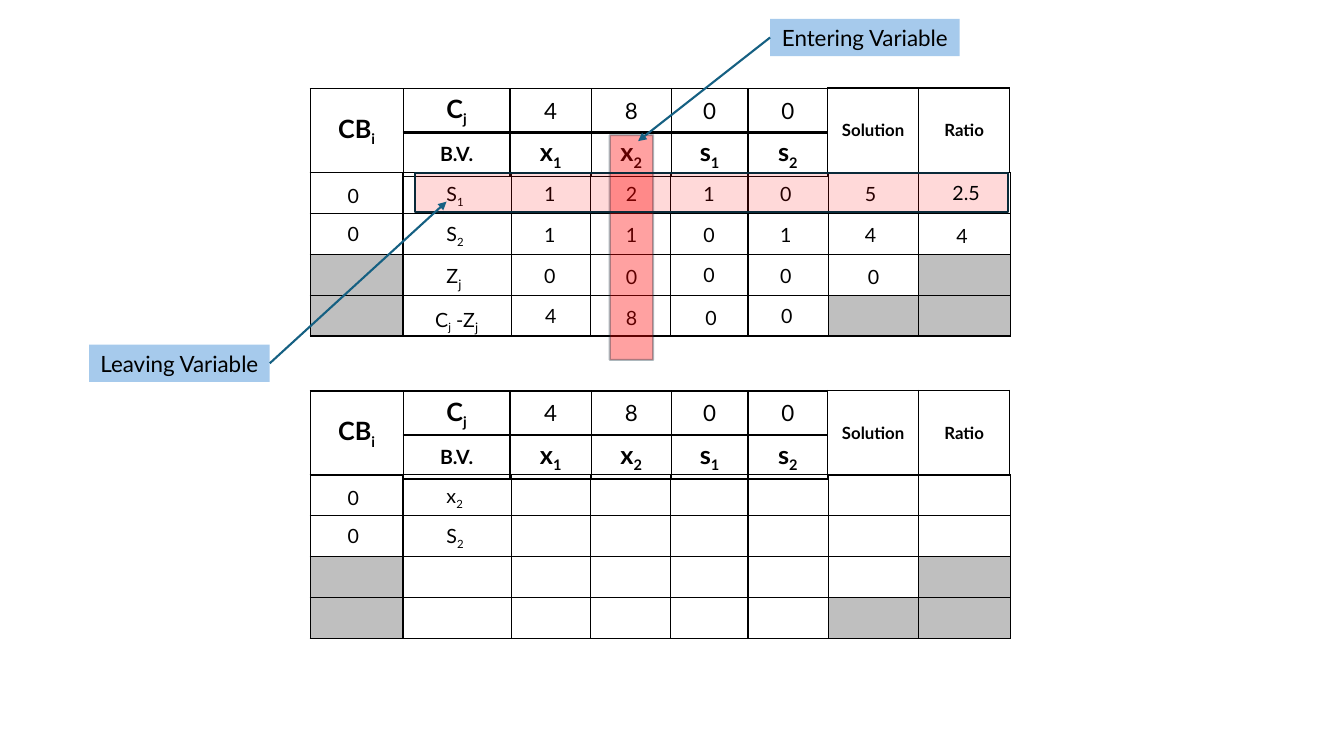
from dataclasses import dataclass
from itertools import product

from lxml.etree import SubElement
from pptx import Presentation
from pptx.dml.color import RGBColor as RGB
from pptx.enum.shapes import MSO_CONNECTOR as CONN, MSO_SHAPE as SHAPE
from pptx.enum.text import MSO_ANCHOR as ANCHOR, MSO_AUTO_SIZE as AUTO, PP_ALIGN as ALIGN
from pptx.oxml.ns import qn
from pptx.util import Pt


@dataclass(frozen=True)
class Theme:
    font: str = "Lato"
    ink: str = "000000"
    grey: str = "BFBFBF"
    callout: str = "A6CAEC"
    highlight: str = "FF0000"
    outline: str = "092A39"
    arrow: str = "156082"
    heading: int = 18
    coefficient: int = 16
    body: int = 14
    small: int = 12
    line: float = 1.5


def write(p, text, theme, *, size, bold=False, align=ALIGN.LEFT, last_sub=None):
    """Write text in which an underscore lowers the next character."""
    p.alignment = align
    pieces = text.split("_")
    parts = [(pieces[0], False, size)]
    for i, piece in enumerate(pieces[1:], 1):
        last = i == len(pieces) - 1
        parts += [(piece[0], True, last_sub if last and last_sub else size),
                  (piece[1:], False, size)]
    for part, lowered, part_size in parts:
        if not part:
            continue
        r = p.add_run()
        r.text = part
        r.font.name, r.font.size, r.font.bold = theme.font, Pt(part_size), bold
        r.font.color.rgb = RGB.from_string(theme.ink)
        if lowered:
            r._r.get_or_add_rPr().set("baseline", "-25000")


def set_alpha(color_parent, percent):
    """Make the solid colour inside an element partly transparent."""
    color = color_parent.find(".//" + qn("a:srgbClr"))
    SubElement(color, qn("a:alpha")).set("val", str(percent * 1000))


class Canvas:
    def __init__(self, slide, theme):
        self.slide, self.theme = slide, theme

    def table(self, x, y, widths, height, rows=1):
        frame = self.slide.shapes.add_table(
            rows, len(widths), Pt(x), Pt(y), Pt(sum(widths)), Pt(height * rows))
        table = frame.table
        table.first_row = table.horz_banding = False
        for column, width in zip(table.columns, widths):
            column.width = Pt(width)
        for row in table.rows:
            row.height = Pt(height)
        for cell in table.iter_cells():
            cell.vertical_anchor = ANCHOR.MIDDLE
            self.borders(cell)
            cell.fill.background()
        return table

    def borders(self, cell):
        tcPr = cell._tc.get_or_add_tcPr()
        for side in ("lnL", "lnR", "lnT", "lnB"):
            ln = SubElement(tcPr, qn("a:" + side), w=str(Pt(1)))
            fill = SubElement(ln, qn("a:solidFill"))
            SubElement(fill, qn("a:srgbClr"), val=self.theme.ink)

    def header(self, x, y, widths, height, texts, sizes, bolds):
        table = self.table(x, y, widths, height)
        for cell, text, size, bold in zip(table.iter_cells(), texts, sizes, bolds):
            write(cell.text_frame.paragraphs[0], text, self.theme,
                  size=size, bold=bold, align=ALIGN.CENTER)

    def label(self, x, y, text, width=35, **fmt):
        s = self.slide.shapes.add_textbox(Pt(x), Pt(y), Pt(width), Pt(24.2))
        tf = s.text_frame
        tf.word_wrap, tf.auto_size = True, AUTO.SHAPE_TO_FIT_TEXT
        write(tf.paragraphs[0], text, self.theme, size=self.theme.body, **fmt)

    def box(self, x, y, width, height, color):
        s = self.slide.shapes.add_shape(
            SHAPE.RECTANGLE, Pt(x), Pt(y), Pt(width), Pt(height))
        s.shadow.inherit = False
        s.fill.solid()
        s.fill.fore_color.rgb = RGB.from_string(color)
        return s

    def highlight(self, x, y, width, height, fill_alpha, line_alpha=100):
        s = self.box(x, y, width, height, self.theme.highlight)
        set_alpha(s._element.spPr.find(qn("a:solidFill")), fill_alpha)
        s.line.color.rgb = RGB.from_string(self.theme.outline)
        s.line.width = Pt(self.theme.line)
        set_alpha(s._element.spPr.find(qn("a:ln")), line_alpha)

    def callout(self, x, y, width, text):
        s = self.box(x, y, width, 26.6, self.theme.callout)
        s.line.fill.background()
        tf = s.text_frame
        tf.word_wrap, tf.vertical_anchor = False, ANCHOR.MIDDLE
        write(tf.paragraphs[0], text, self.theme,
              size=self.theme.coefficient, align=ALIGN.CENTER)
        return s

    def arrow(self, start, side, x, y):
        s = self.slide.shapes.add_connector(CONN.STRAIGHT, 0, 0, Pt(x), Pt(y))
        s.begin_connect(start, side)
        s.line.color.rgb = RGB.from_string(self.theme.arrow)
        s.line.width = Pt(self.theme.line)
        SubElement(s.line._get_or_add_ln(), qn("a:tailEnd"), type="triangle")
        SubElement(s._element.spPr, qn("a:effectLst"))

    def tableau(self, top, values, nudges):
        """Draw one simplex tableau: headers, empty grid and its values."""
        t = self.theme
        self.header(288, top + 31, VARIABLE_WIDTHS, 29.5,
                    ("B.V.", "x_1", "x_2", "s_1", "s_2"),
                    [t.body] + [t.heading] * 4, [True] * 5)
        self.header(288, top, VARIABLE_WIDTHS, 29.5, ("C_j", "4", "8", "0", "0"),
                    [t.heading] + [t.coefficient] * 4, [True] + [False] * 4)
        self.header(221.5, top, [66.5], 60, ["CB_i"], [t.heading], [True])
        self.header(591.2, top - 0.4, [65, 65], 60.4, ("Solution", "Ratio"),
                    [t.small] * 2, [True] * 2)
        grid = self.table(221.5, top + 59.9, GRID_WIDTHS, 29.2, rows=4)
        for row, col in GREY_CELLS:
            cell = grid.cell(row, col)
            cell.fill.solid()
            cell.fill.fore_color.rgb = RGB.from_string(t.grey)
        for row, col in product(range(len(values)), range(len(LABEL_LEFTS))):
            text = values[row][col] if col < len(values[row]) else ""
            if text:
                dx, dy = nudges.get((row, col), (0, 0))
                self.label(LABEL_LEFTS[col] + dx, top + 62.9 + row * 29.4 + dy, text,
                           width=50 if "-" in text else 35,
                           last_sub=t.coefficient if text.endswith("_j") else None)


VARIABLE_WIDTHS = [76.3, 58.2, 56.9, 54.9, 57.1]
GRID_WIDTHS = [66.4, 77.2, 56.9, 56.9, 55.4, 57.3, 64.8, 65.2]
GREY_CELLS = [(2, 0), (2, 7), (3, 0), (3, 6), (3, 7)]
LABEL_LEFTS = [241.2, 311.8, 381.6, 439.9, 495.4, 550.1, 610.6]

FIRST_VALUES = [
    ("0", "S_1", "1", "2", "1", "0", "5"),
    ("0", "S_2", "1", "1", "0", "1", "4"),
    ("", "Z_j", "0", "0", "0", "0", "0"),
    ("", "C_j -Z_j", "4", "8", "0", "0"),
]
SECOND_VALUES = [("0", "x_2"), ("0", "S_2")]
CB_NUDGES = {(0, 0): (0, 1.4), (1, 0): (0, -0.7), (1, 1): (0, -0.7)}
FIRST_NUDGES = CB_NUDGES | {
    (2, 1): (0, -1.8), (2, 3): (0, 0.8), (2, 4): (0, -0.7), (2, 6): (2.2, 0.8),
    (3, 1): (-8, -0.3), (3, 2): (0.7, -1), (3, 3): (0, 0.5),
    (3, 4): (1.4, 0.5), (3, 5): (0.7, -1),
}


def main():
    prs = Presentation()
    prs.slide_width, prs.slide_height = Pt(960), Pt(540)
    canvas = Canvas(prs.slides.add_slide(prs.slide_layouts[6]), Theme())

    # First tableau with pivot column, pivot row and ratios
    canvas.tableau(63.3, FIRST_VALUES, FIRST_NUDGES)
    canvas.highlight(435.6, 96.5, 31, 160.6, fill_alpha=37, line_alpha=32)
    canvas.highlight(296.6, 123.8, 423.4, 27.4, fill_alpha=15)
    canvas.label(673.2, 126, "2.5")
    canvas.label(676.1, 156.2, "4")

    # Callouts and their arrows
    leaving = canvas.callout(63.7, 246.2, 129, "Leaving Variable")
    entering = canvas.callout(550.1, 13.5, 135.4, "Entering Variable")
    canvas.arrow(entering, 1, 455.8, 100.8)
    canvas.arrow(leaving, 3, 319, 144)

    # Second tableau
    canvas.tableau(279.3, SECOND_VALUES, CB_NUDGES)
    prs.save("out.pptx")


if __name__ == "__main__":
    main()
